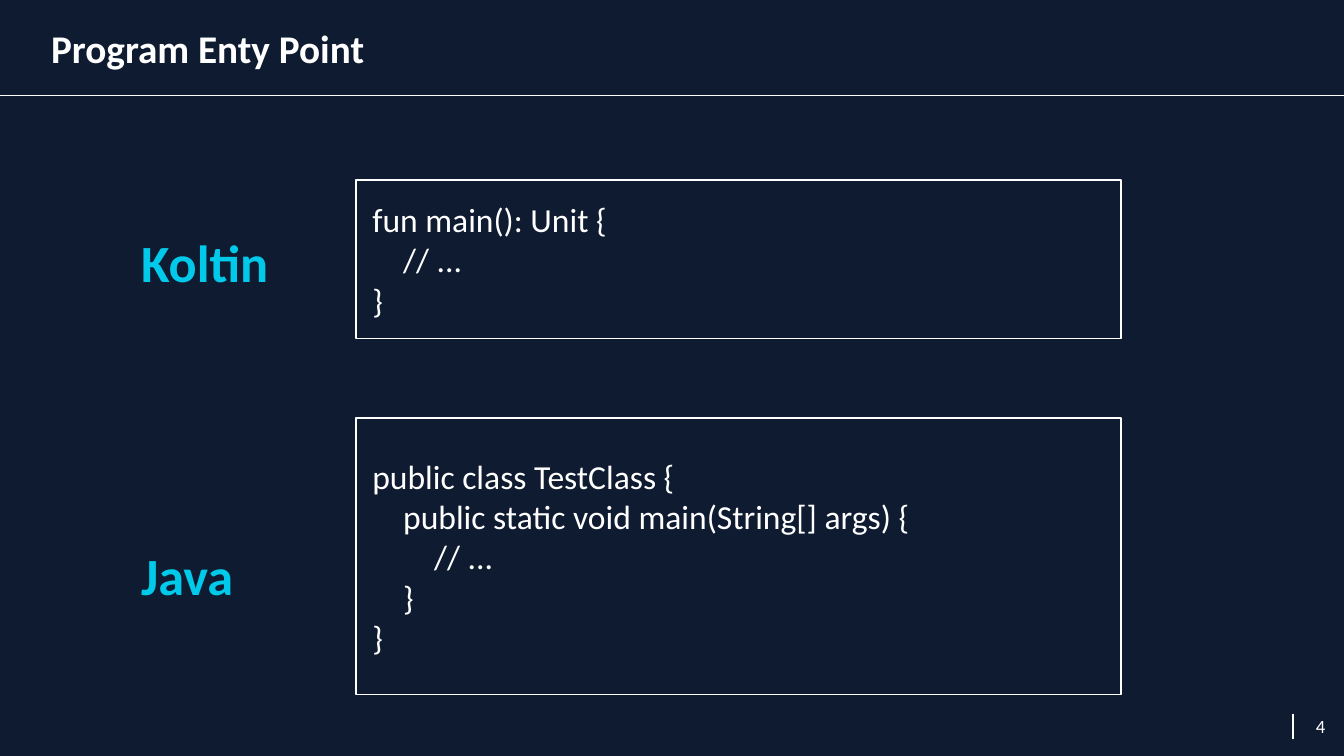
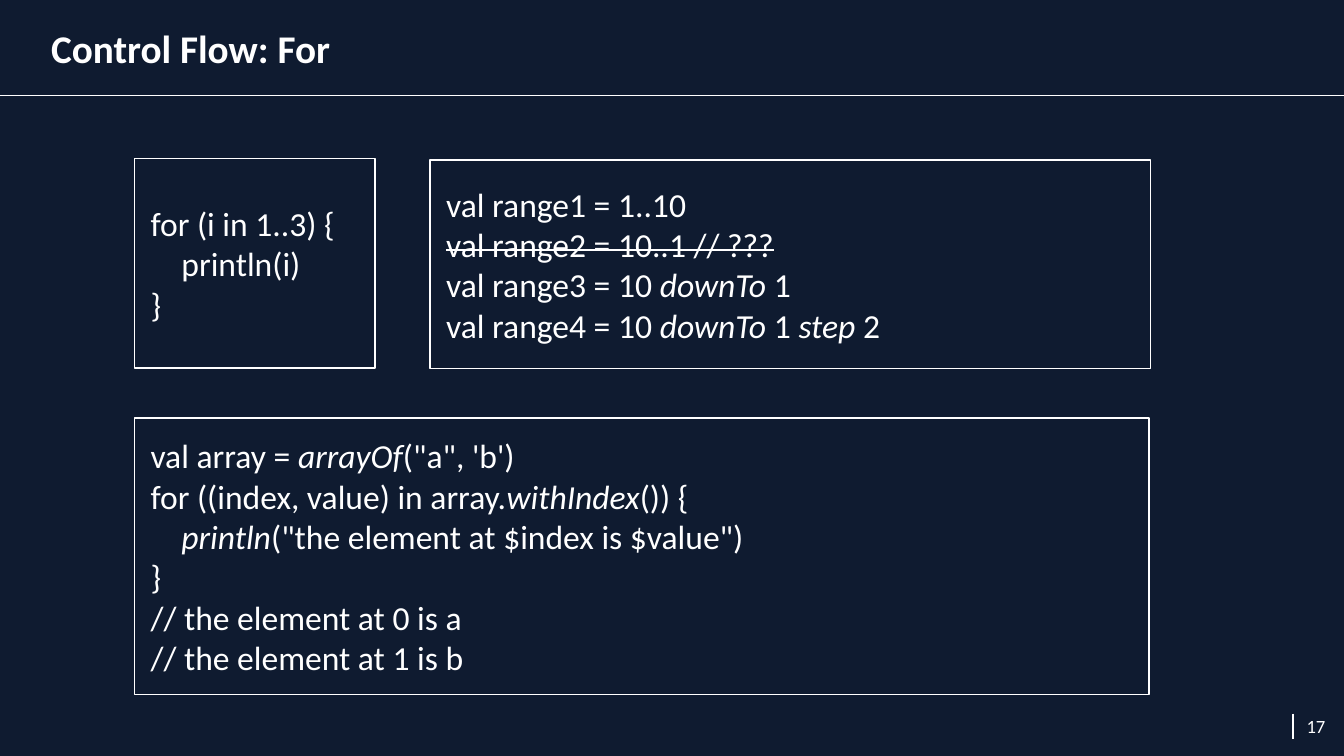
from dataclasses import dataclass

from lxml.etree import SubElement
from pptx import Presentation
from pptx.dml.color import RGBColor
from pptx.enum.shapes import MSO_CONNECTOR as Conn, MSO_SHAPE as Shape
from pptx.enum.text import MSO_ANCHOR as Anchor, PP_ALIGN as Align
from pptx.oxml.ns import qn
from pptx.util import Inches, Pt


@dataclass(frozen=True)
class Theme:
    font: str = "Calibri"
    background: RGBColor = RGBColor(0x0F, 0x1B, 0x30)
    ink: RGBColor = RGBColor(0xFF, 0xFF, 0xFF)
    accent: RGBColor = RGBColor(0x00, 0xC9, 0xEA)
    title: int = 21
    label: int = 28
    code: int = 18
    number: int = 10
    line: float = 0.75
    margin: float = 0.12  # left margin of text, inches
    tab: float = 0.23     # one level of code indent, inches


@dataclass(frozen=True)
class Box:
    left: float
    top: float
    width: float
    height: float

    def emu(self):
        return [Inches(v) for v in (self.left, self.top, self.width, self.height)]


@dataclass(frozen=True)
class Line:
    """A line of code; parts between asterisks are italic."""
    text: str
    level: int = 0
    strike: bool = False


@dataclass(frozen=True)
class CodeBox:
    box: Box
    lines: tuple


T = Theme()
WIDTH, HEIGHT = 10, 5.625
RULE_Y = 0.71


def write(tf, lines, *, size, color=T.ink, bold=False, align=Align.LEFT,
          margin=0.0, inset=0.0, gap=0):
    """Fill a text frame with one paragraph a line, centred vertically."""
    tf.word_wrap = True
    tf.vertical_anchor = Anchor.MIDDLE
    tf.margin_left = tf.margin_right = Inches(inset)
    tf.margin_top = tf.margin_bottom = Inches(inset)
    for i, line in enumerate(lines):
        p = tf.add_paragraph() if i else tf.paragraphs[0]
        p.alignment = align
        p.space_before = Pt(gap if i else 0)
        indent = Inches(margin + T.tab * line.level)
        pPr = p._p.get_or_add_pPr()
        pPr.set("marL", str(indent))
        pPr.set("indent", "0")
        for j, part in enumerate(line.text.split("*")):
            if not part:
                continue
            r = p.add_run()
            r.text = part
            r.font.name, r.font.size = T.font, Pt(size)
            r.font.color.rgb = color
            r.font.bold, r.font.italic = bold, j % 2 == 1
            if line.strike:
                r._r.get_or_add_rPr().set("strike", "sngStrike")


def add_text(s, box: Box, *texts: str, **fmt):
    tf = s.shapes.add_textbox(*box.emu()).text_frame
    write(tf, [Line(t) for t in texts], **fmt)


def add_line(s, x1: float, y1: float, x2: float, y2: float):
    ends = [Inches(v) for v in (x1, y1, x2, y2)]
    c = s.shapes.add_connector(Conn.STRAIGHT, *ends)
    c.line.color.rgb = T.ink
    c.line.width = Pt(T.line)
    SubElement(c._element.spPr, qn("a:effectLst"))


def add_code(s, code: CodeBox):
    sp = s.shapes.add_shape(Shape.RECTANGLE, *code.box.emu())
    sp.shadow.inherit = False
    sp.fill.background()
    sp.line.color.rgb = T.ink
    sp.line.width = Pt(T.line)
    write(sp.text_frame, code.lines, size=T.code, margin=T.margin)


def add_slide(prs, title: str, number: int, codes):
    """Add a slide with background, page number, rule, title and code boxes."""
    s = prs.slides.add_slide(prs.slide_layouts[6])
    s.background.fill.solid()
    s.background.fill.fore_color.rgb = T.background
    add_text(s, Box(9.5, 5.19, 0.46, 0.43), str(number),
             size=T.number, align=Align.RIGHT, inset=0.1)
    add_line(s, 9.62, 5.31, 9.62, 5.5)
    add_line(s, 0, RULE_Y, WIDTH, RULE_Y)
    add_text(s, Box(0.38, 0, 9.25, RULE_Y), title, size=T.title, bold=True)
    for code in codes:
        add_code(s, code)
    return s


# Code samples
ENTRY_POINT = (
    CodeBox(Box(2.65, 1.34, 5.69, 1.18), (
        Line("fun main(): Unit {"),
        Line("// ...", 1),
        Line("}"),
    )),
    CodeBox(Box(2.65, 3.11, 5.69, 2.06), (
        Line("public class TestClass {"),
        Line("public static void main(String[] args) {", 1),
        Line("// ...", 2),
        Line("}", 1),
        Line("}"),
    )),
)
FOR_LOOPS = (
    CodeBox(Box(3.2, 1.19, 5.36, 1.55), (
        Line("val range1 = 1..10"),
        Line("val range2 = 10..1 // ???", strike=True),
        Line("val range3 = 10 *downTo *1"),
        Line("val range4 = 10 *downTo *1 *step *2"),
    )),
    CodeBox(Box(1, 3.11, 7.55, 2.06), (
        Line("val array = *arrayOf*(\"a\", 'b')"),
        Line("for ((index, value) in array.*withIndex*()) {"),
        Line('*println*("the element at $index is $value")', 1),
        Line("}"),
        Line("// the element at 0 is a"),
        Line("// the element at 1 is b"),
    )),
    CodeBox(Box(1, 1.18, 1.79, 1.56), (
        Line("for (i in 1..3) {"),
        Line("println(i)", 1),
        Line("}"),
    )),
)

prs = Presentation()
prs.slide_width, prs.slide_height = Inches(WIDTH), Inches(HEIGHT)

# Entry point: language labels beside the code
s = add_slide(prs, "Program Enty Point", 4, ENTRY_POINT)
add_text(s, Box(0.93, 1.22, 1.46, 3.78), "Koltin", "Java", size=T.label,
         color=T.accent, bold=True, margin=T.margin, gap=134)

# For loops and ranges
add_slide(prs, "Control Flow: For", 17, FOR_LOOPS)

prs.save("out.pptx")
